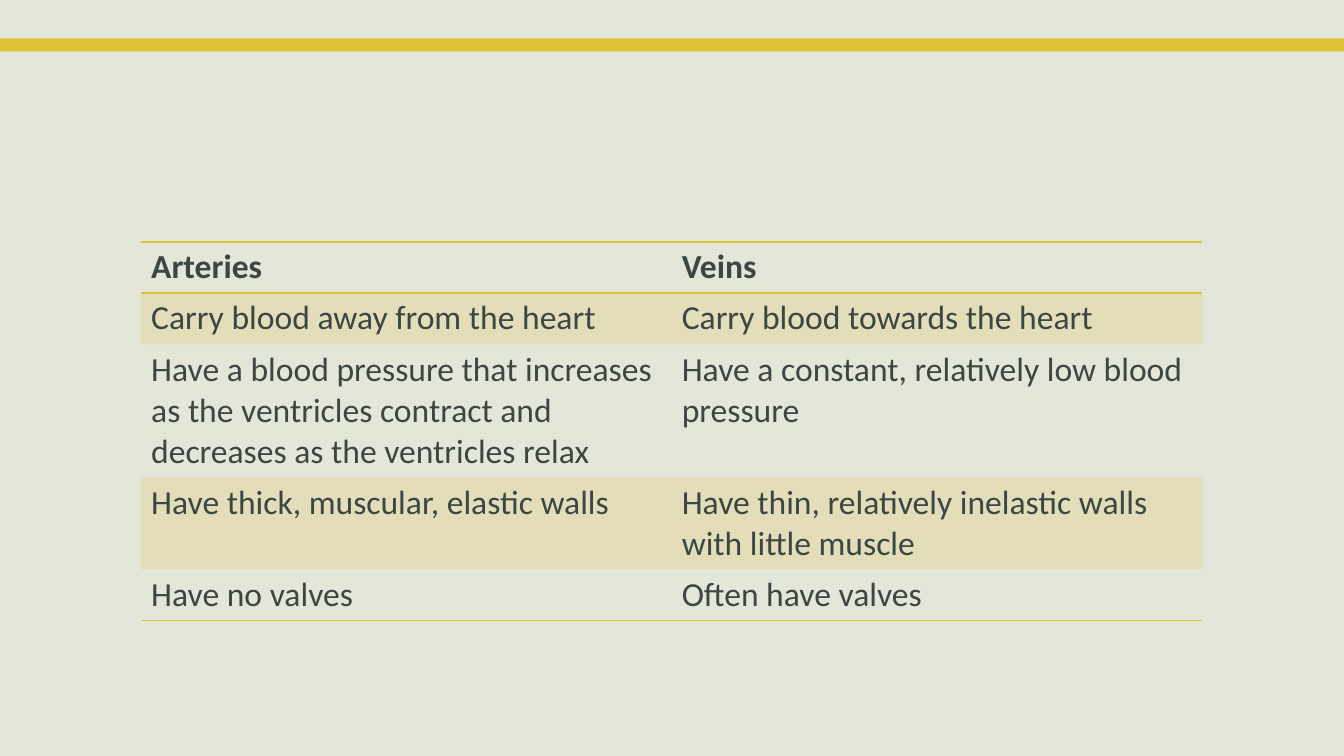
from lxml.etree import SubElement
from pptx import Presentation
from pptx.dml.color import RGBColor
from pptx.enum.shapes import MSO_SHAPE
from pptx.oxml import parse_xml
from pptx.oxml.ns import nsdecls, qn
from pptx.util import Pt

HUES = {"paper": "E5E6DA", "gold": "DDC237", "ink": "3C4743"}
PLAIN = "{2D5ABB26-0587-4C30-8999-92F81FD0307C}"
ROWS = [
    ("Arteries", "Veins"),
    ("Carry blood away from the heart", "Carry blood towards the heart"),
    ("Have a blood pressure that increases as the ventricles contract "
     "and decreases as the ventricles relax",
     "Have a constant, relatively low blood pressure"),
    ("Have thick, muscular, elastic walls",
     "Have thin, relatively inelastic walls with little muscle"),
    ("Have no valves", "Often have valves"),
]
LINES = [1, 1, 3, 2, 1]


def hue(name):
    return RGBColor.from_string(HUES[name])


def paint(shape, name):
    shape.fill.solid()
    shape.fill.fore_color.rgb = hue(name)


def add_bar(slide, width):
    bar = slide.shapes.add_shape(
        MSO_SHAPE.RECTANGLE, 0, Pt(27.4), width, Pt(9.4))
    bar.shadow.inherit = False
    paint(bar, "gold")
    bar.line.fill.background()


def tint(cell):
    """Fill the cell with gold at 20% opacity."""
    paint(cell, "gold")
    color = cell._tc.tcPr.find(".//" + qn("a:srgbClr"))
    SubElement(color, qn("a:alpha")).set("val", "20000")


def rule(cell, sides):
    """Draw gold borders on the given sides, listed top first."""
    for spot, side in enumerate(sides):
        cell._tc.get_or_add_tcPr().insert(spot, parse_xml(
            f'<a:ln{side} {nsdecls("a")} w="12700"><a:solidFill>'
            f'<a:srgbClr val="{HUES["gold"]}"/></a:solidFill></a:ln{side}>'))


def write(cell, text, bold):
    cell.text_frame.text = text
    font = cell.text_frame.paragraphs[0].runs[0].font
    font.name = "Calibri"
    font.size = Pt(24)
    font.bold = bold
    font.color.rgb = hue("ink")


def add_grid(slide):
    frame = slide.shapes.add_table(
        len(ROWS), 2, Pt(100.8), Pt(172.8), Pt(758), Pt(270))
    grid = frame.table
    grid.first_row = grid.horz_banding = False
    grid._tbl.tblPr.find(qn("a:tableStyleId")).text = PLAIN
    borders = {0: "TB", len(ROWS) - 1: "B"}
    for r, texts in enumerate(ROWS):
        grid.rows[r].height = Pt(7.2 + 29.3 * LINES[r])
        for c, text in enumerate(texts):
            cell = grid.cell(r, c)
            write(cell, text, r == 0)
            if r % 2:
                tint(cell)
            else:
                cell.fill.background()
            rule(cell, borders.get(r, ""))


def main():
    deck = Presentation()
    deck.slide_width, deck.slide_height = Pt(960), Pt(540)
    slide = deck.slides.add_slide(deck.slide_layouts[6])
    paint(slide.background, "paper")
    add_bar(slide, deck.slide_width)
    add_grid(slide)
    deck.save("out.pptx")


if __name__ == "__main__":
    main()
